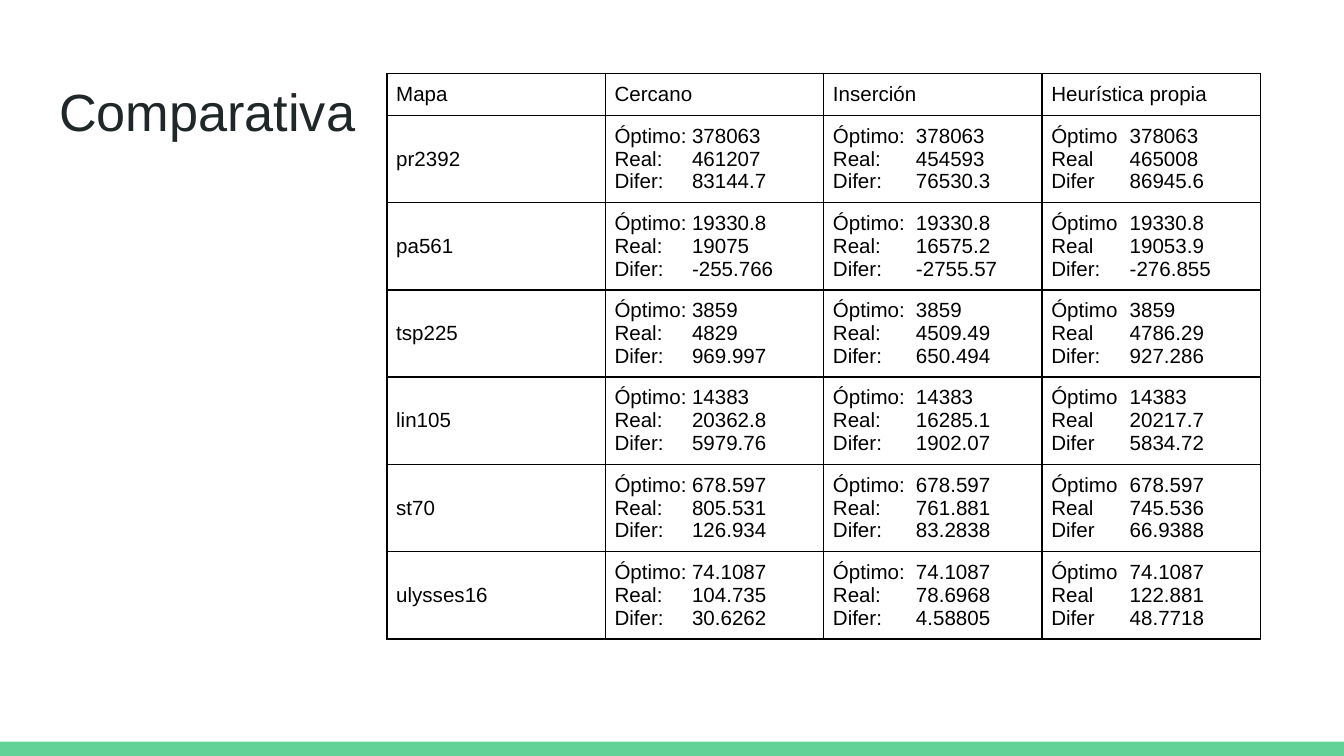
from lxml import etree
from pptx import Presentation
from pptx.dml.color import RGBColor
from pptx.enum.shapes import MSO_SHAPE
from pptx.enum.text import MSO_ANCHOR, MSO_AUTO_SIZE, PP_ALIGN
from pptx.oxml.ns import qn
from pptx.util import Pt

RECTANGLE = MSO_SHAPE.RECTANGLE
TOP, MIDDLE = MSO_ANCHOR.TOP, MSO_ANCHOR.MIDDLE
LEFT = PP_ALIGN.LEFT
NO_AUTOFIT = MSO_AUTO_SIZE.NONE

COLORS = {"title": "202729", "text": "000000", "border": "000000",
          "cell": "FFFFFF", "bar": "63D297"}
FONT = "Arial"
SLIDE_WIDTH, SLIDE_HEIGHT = 720, 405
HEADER_HEIGHT = 22.5
CELL_MARGIN = 4.95

HEADERS = ["Mapa", "Cercano", "Inserción", "Heurística propia"]
COLON_LABELS = ["Óptimo:", "Real:", "Difer:"]
PLAIN_LABELS = ["Óptimo", "Real", "Difer"]
MIXED_LABELS = ["Óptimo", "Real", "Difer:"]
# Where the values start in each column
VALUE_TABS = [41.5, 44.5, 42]

# Map, labels of the last column, then the values of each method
RESULTS = [
    ("pr2392", PLAIN_LABELS, ["378063", "461207", "83144.7"],
     ["378063", "454593", "76530.3"], ["378063", "465008", "86945.6"]),
    ("pa561", MIXED_LABELS, ["19330.8", "19075", "-255.766"],
     ["19330.8", "16575.2", "-2755.57"], ["19330.8", "19053.9", "-276.855"]),
    ("tsp225", MIXED_LABELS, ["3859", "4829", "969.997"],
     ["3859", "4509.49", "650.494"], ["3859", "4786.29", "927.286"]),
    ("lin105", PLAIN_LABELS, ["14383", "20362.8", "5979.76"],
     ["14383", "16285.1", "1902.07"], ["14383", "20217.7", "5834.72"]),
    ("st70", PLAIN_LABELS, ["678.597", "805.531", "126.934"],
     ["678.597", "761.881", "83.2838"], ["678.597", "745.536", "66.9388"]),
    ("ulysses16", PLAIN_LABELS, ["74.1087", "104.735", "30.6262"],
     ["74.1087", "78.6968", "4.58805"], ["74.1087", "122.881", "48.7718"]),
]


def color(name):
    return RGBColor.from_string(COLORS[name])


def style_paragraph(paragraph, size, color_name):
    paragraph.alignment = LEFT
    paragraph.font.name = FONT
    paragraph.font.size = Pt(size)
    paragraph.font.color.rgb = color(color_name)


def add_tab_stop(paragraph, position):
    properties = paragraph._p.get_or_add_pPr()
    tab_list = etree.Element(qn("a:tabLst"))
    etree.SubElement(tab_list, qn("a:tab"), pos=str(Pt(position)), algn="l")
    # Tab stops come before the default run properties
    properties.find(qn("a:defRPr")).addprevious(tab_list)


def add_borders(cell):
    properties = cell._tc.get_or_add_tcPr()
    for index, side in enumerate(("lnL", "lnR", "lnT", "lnB")):
        line = etree.Element(qn(f"a:{side}"), w=str(Pt(1)))
        fill = etree.SubElement(line, qn("a:solidFill"))
        etree.SubElement(fill, qn("a:srgbClr"), val=COLORS["border"])
        properties.insert(index, line)


def fill_cell(cell, lines, tab_position=None):
    cell.margin_left = cell.margin_right = Pt(CELL_MARGIN)
    cell.margin_top = cell.margin_bottom = Pt(CELL_MARGIN)
    cell.vertical_anchor = MIDDLE
    cell.fill.solid()
    cell.fill.fore_color.rgb = color("cell")
    add_borders(cell)
    cell.text_frame.text = "\n".join(lines)
    for paragraph in cell.text_frame.paragraphs:
        style_paragraph(paragraph, 11, "text")
        if tab_position is not None:
            add_tab_stop(paragraph, tab_position)


def add_bar(slide, left, top, width, height):
    bar = slide.shapes.add_shape(RECTANGLE, Pt(left), Pt(top), Pt(width), Pt(height))
    bar.shadow.inherit = False
    bar.fill.solid()
    bar.fill.fore_color.rgb = color("bar")
    bar.line.fill.background()


def place_title(slide, text, left, top, width, height):
    title = slide.shapes.title
    title.left, title.top = Pt(left), Pt(top)
    title.width, title.height = Pt(width), Pt(height)
    frame = title.text_frame
    frame.margin_left = frame.margin_right = Pt(7.2)
    frame.margin_top = frame.margin_bottom = Pt(7.2)
    frame.vertical_anchor = TOP
    frame.auto_size = NO_AUTOFIT
    frame.text = text
    style_paragraph(frame.paragraphs[0], 28, "title")


def add_results_table(slide, left, top, width, height):
    table = slide.shapes.add_table(len(RESULTS) + 1, len(HEADERS), Pt(left),
                                   Pt(top), Pt(width), Pt(height)).table
    for column in table.columns:
        column.width = Pt(width / len(HEADERS))
    for row in table.rows:
        row.height = Pt((height - HEADER_HEIGHT) / len(RESULTS))
    table.rows[0].height = Pt(HEADER_HEIGHT)

    for column, header in enumerate(HEADERS):
        fill_cell(table.cell(0, column), [header])
    for row, (map_name, last_labels, *methods) in enumerate(RESULTS, 1):
        fill_cell(table.cell(row, 0), [map_name])
        label_sets = [COLON_LABELS, COLON_LABELS, last_labels]
        columns = zip(label_sets, methods, VALUE_TABS)
        for column, (labels, values, tab_position) in enumerate(columns, 1):
            lines = [f"{label}\t{value}" for label, value in zip(labels, values)]
            fill_cell(table.cell(row, column), lines, tab_position)


def main():
    presentation = Presentation()
    presentation.slide_width = Pt(SLIDE_WIDTH)
    presentation.slide_height = Pt(SLIDE_HEIGHT)
    slide = presentation.slides.add_slide(presentation.slide_layouts.get_by_name("Title Only"))

    # Bottom bar, title and comparison table
    add_bar(slide, 0, SLIDE_HEIGHT - 7.6, SLIDE_WIDTH, 7.6)
    place_title(slide, "Comparativa", 24.5, 35.3, 671, 45.4)
    add_results_table(slide, 207.3, 39.3, 468, 303)

    presentation.save("out.pptx")


if __name__ == "__main__":
    main()
